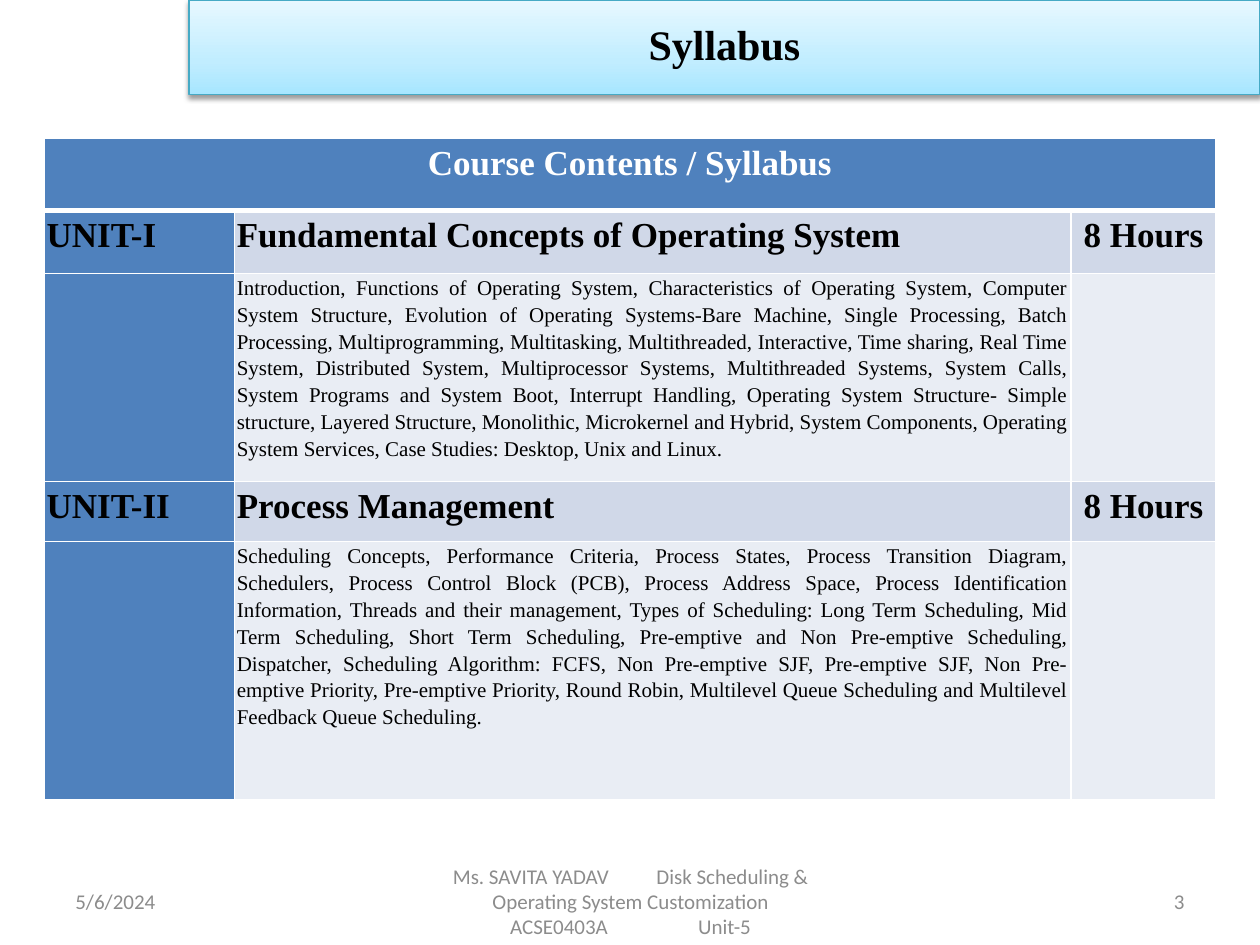
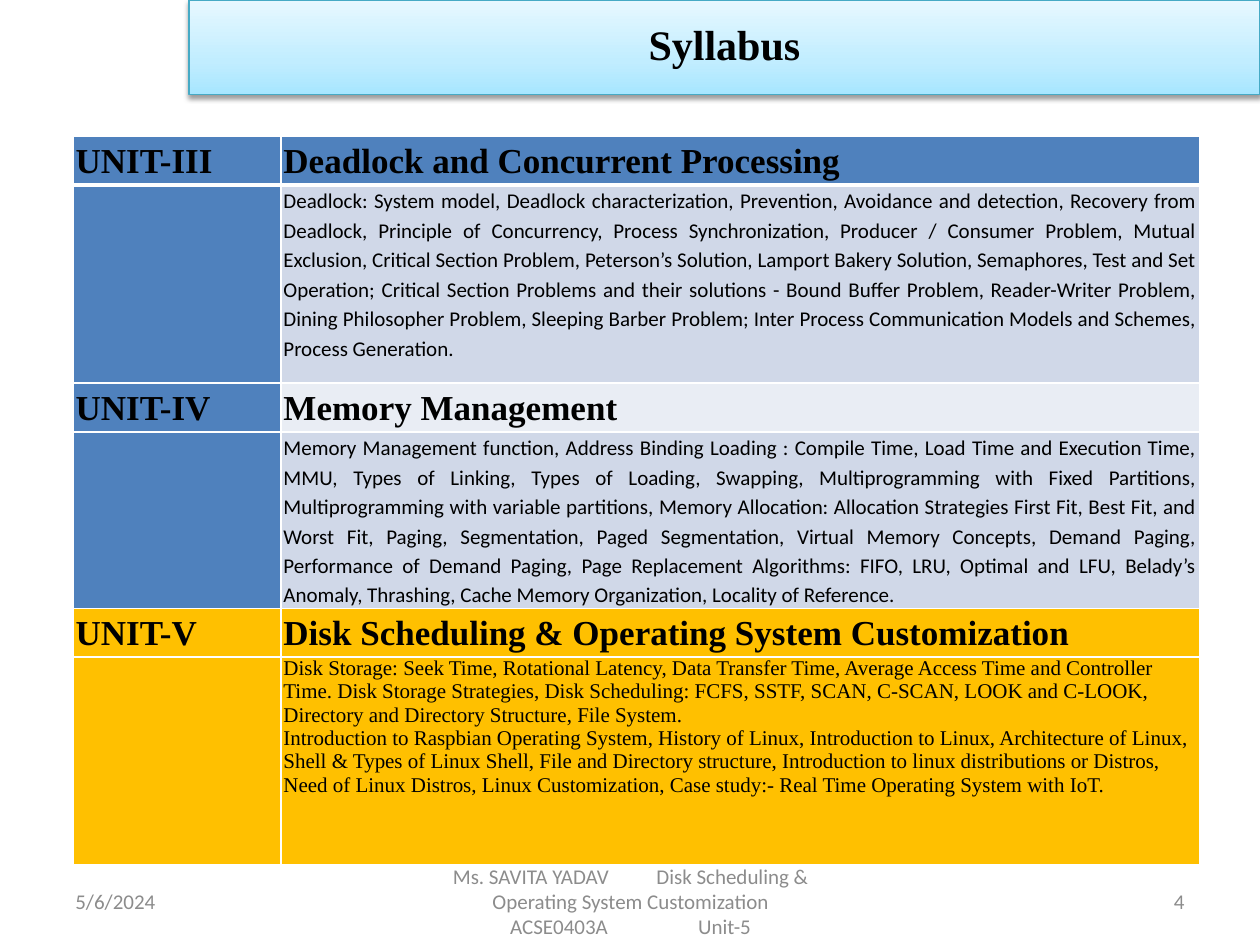
from dataclasses import dataclass

from lxml.etree import SubElement
from pptx import Presentation
from pptx.dml.color import RGBColor
from pptx.enum.shapes import MSO_SHAPE
from pptx.enum.text import MSO_ANCHOR, PP_ALIGN as Align
from pptx.oxml.ns import qn
from pptx.util import Inches, Pt

# Shared look
SERIF, SANS = "Times New Roman", "Calibri"
BLACK, WHITE, GREY = "000000", "FFFFFF", "8C8C8C"
BLUE, PALE_BLUE, LIGHT_BLUE, GOLD = "4F81BD", "D0D8E8", "E9EDF4", "FFC000"
BANNER_LINE = "46AAC5"
BANNER_STOPS = [(0, "A7E6FF"), (35, "C1EDFF"), (100, "E7F8FF")]
DATE = "5/6/2024"
# Each footer part is followed by a gap in points
FOOTER_PARTS = [
    ("Ms. SAVITA YADAV", 27),
    ("Disk Scheduling & Operating System Customization ACSE0403A", 51.5),
    ("Unit-5", 0),
]
SPACE_WIDTH = 2.7


@dataclass(frozen=True)
class TextStyle:
    size: float
    font: str = SERIF
    color: str = BLACK
    bold: bool = False
    align: Align = Align.LEFT
    line_spacing: float = 1.0


@dataclass(frozen=True)
class Cell:
    text: str
    style: TextStyle


@dataclass(frozen=True)
class Row:
    height: float
    fill: str
    cells: tuple[Cell, ...]
    first_fill: str = BLUE


@dataclass(frozen=True)
class Syllabus:
    number: int
    left: float
    top: float
    column_widths: tuple[float, ...]
    rows: tuple[Row, ...]


TITLE = TextStyle(24, bold=True, align=Align.CENTER, line_spacing=0.9)
TABLE_HEADING = TextStyle(20, color=WHITE, bold=True, align=Align.CENTER, line_spacing=1.15)
UNIT = TextStyle(20, bold=True, line_spacing=1.15)
TOPIC = TextStyle(20, bold=True, align=Align.JUSTIFY, line_spacing=1.15)
HOURS = TextStyle(20, bold=True, align=Align.CENTER, line_spacing=1.15)
SERIF_BODY = TextStyle(12, align=Align.JUSTIFY, line_spacing=1.15)
SANS_BODY = TextStyle(12, SANS, align=Align.JUSTIFY, line_spacing=1.15)
PLAIN_BODY = TextStyle(12)
FOOTER_LEFT = TextStyle(12, SANS, GREY)
FOOTER_CENTER = TextStyle(12, SANS, GREY, align=Align.CENTER)
FOOTER_RIGHT = TextStyle(12, SANS, GREY, align=Align.RIGHT)


def unit_row(height: float, fill: str, unit: str, topic: str,
             hours: str = "", first_fill: str = BLUE) -> Row:
    cells = (Cell(unit, UNIT), Cell(topic, TOPIC), Cell(hours, HOURS))
    return Row(height, fill, cells if hours else cells[:2], first_fill)


def body_row(height: float, fill: str, text: str, style: TextStyle,
             first_fill: str = BLUE) -> Row:
    return Row(height, fill, (Cell("", style), Cell(text, style)), first_fill)


# Slide contents
SLIDES = [
    Syllabus(3, 0.35, 1.1, (1.51, 6.64, 1.15), (
        Row(0.57, BLUE, (Cell("Course Contents / Syllabus", TABLE_HEADING),)),
        unit_row(0.5, PALE_BLUE, "UNIT-I", "Fundamental Concepts of Operating System", "8 Hours"),
        body_row(1.65, LIGHT_BLUE, (
            "Introduction, Functions of Operating System, Characteristics of Operating System, "
            "Computer System Structure, Evolution of Operating Systems-Bare Machine, Single "
            "Processing, Batch Processing, Multiprogramming, Multitasking, Multithreaded, "
            "Interactive, Time sharing, Real Time System, Distributed System, Multiprocessor "
            "Systems, Multithreaded Systems, System Calls, System Programs and System Boot, "
            "Interrupt Handling, Operating System Structure- Simple structure, Layered Structure, "
            "Monolithic, Microkernel and Hybrid, System Components, Operating System Services, "
            "Case Studies: Desktop, Unix and Linux."), SERIF_BODY),
        unit_row(0.48, PALE_BLUE, "UNIT-II", "Process Management", "8 Hours"),
        body_row(2.05, LIGHT_BLUE, (
            "Scheduling Concepts, Performance Criteria, Process States, Process Transition "
            "Diagram, Schedulers, Process Control Block (PCB), Process Address Space, Process "
            "Identification Information, Threads and their management, Types of Scheduling: Long "
            "Term Scheduling, Mid Term Scheduling, Short Term Scheduling, Pre-emptive and Non "
            "Pre-emptive Scheduling, Dispatcher, Scheduling Algorithm: FCFS, Non Pre-emptive SJF, "
            "Pre-emptive SJF, Non Pre-emptive Priority, Pre-emptive Priority, Round Robin, "
            "Multilevel Queue Scheduling and Multilevel Feedback Queue Scheduling."), SERIF_BODY),
    )),
    Syllabus(4, 0.58, 1.08, (1.65, 7.29), (
        unit_row(0.39, BLUE, "UNIT-III", "Deadlock and Concurrent Processing"),
        body_row(1.57, PALE_BLUE, (
            "Deadlock: System model, Deadlock characterization, Prevention, Avoidance and "
            "detection, Recovery from Deadlock, Principle of Concurrency, Process "
            "Synchronization, Producer / Consumer Problem, Mutual Exclusion, Critical Section "
            "Problem, Peterson’s Solution, Lamport Bakery Solution, Semaphores, Test and Set "
            "Operation; Critical Section Problems and their solutions - Bound Buffer Problem, "
            "Reader-Writer Problem, Dining Philosopher Problem, Sleeping Barber Problem; Inter "
            "Process Communication Models and Schemes, Process Generation."), SANS_BODY),
        unit_row(0.39, LIGHT_BLUE, "UNIT-IV", "Memory Management"),
        body_row(1.4, PALE_BLUE, (
            "Memory Management function, Address Binding Loading : Compile Time, Load Time and "
            "Execution Time, MMU, Types of Linking, Types of Loading, Swapping, Multiprogramming "
            "with Fixed Partitions, Multiprogramming with variable partitions, Memory Allocation: "
            "Allocation Strategies First Fit, Best Fit, and Worst Fit, Paging, Segmentation, Paged "
            "Segmentation, Virtual Memory Concepts, Demand Paging, Performance of Demand Paging, "
            "Page Replacement Algorithms: FIFO, LRU, Optimal and LFU, Belady’s Anomaly, "
            "Thrashing, Cache Memory Organization, Locality of Reference."), SANS_BODY),
        unit_row(0.34, GOLD, "UNIT-V", "Disk Scheduling & Operating System Customization",
                 first_fill=GOLD),
        body_row(1.65, GOLD, (
            "Disk Storage: Seek Time, Rotational Latency, Data Transfer Time, Average Access Time "
            "and Controller Time. Disk Storage Strategies, Disk Scheduling: FCFS, SSTF, SCAN, "
            "C-SCAN, LOOK and C-LOOK, Directory and Directory Structure, File System.\n"
            "Introduction to Raspbian Operating System, History of Linux, Introduction to Linux, "
            "Architecture of Linux, Shell & Types of Linux Shell, File and Directory structure, "
            "Introduction to linux distributions or Distros, Need of Linux Distros, Linux "
            "Customization, Case study:- Real Time Operating System with IoT."),
            PLAIN_BODY, first_fill=GOLD),
    )),
]


def rgb(color: str) -> RGBColor:
    return RGBColor.from_string(color)


def format_text(text_frame, style: TextStyle) -> None:
    for paragraph in text_frame.paragraphs:
        paragraph.alignment = style.align
        paragraph.line_spacing = style.line_spacing
        for run in paragraph.runs:
            run.font.size = Pt(style.size)
            run.font.name = style.font
            run.font.bold = style.bold
            run.font.color.rgb = rgb(style.color)


def add_color(parent, color: str):
    return SubElement(parent, qn("a:srgbClr"), val=color)


def add_banner(slide) -> None:
    banner = slide.shapes.add_shape(MSO_SHAPE.RECTANGLE, Inches(1.5), 0, Inches(8.5), Inches(0.75))
    banner.line.color.rgb = rgb(BANNER_LINE)
    banner.line.width = Pt(0.75)
    banner.fill.gradient()
    banner.fill.gradient_angle = 90
    properties = banner._element.spPr
    stops = properties.find(".//" + qn("a:gsLst"))
    stops.clear()
    for position, color in BANNER_STOPS:
        add_color(SubElement(stops, qn("a:gs"), pos=str(position * 1000)), color)
    # Soft shadow below the banner
    banner.shadow.inherit = False
    shadow = SubElement(properties.find(qn("a:effectLst")), qn("a:outerShdw"),
                        blurRad=str(Pt(3.1)), dist=str(Pt(1.6)), dir="5400000", rotWithShape="0")
    SubElement(add_color(shadow, BLACK), qn("a:alpha"), val="38000")
    text_frame = banner.text_frame
    text_frame.text = "Syllabus"
    text_frame.vertical_anchor = MSO_ANCHOR.MIDDLE
    text_frame.paragraphs[0].space_after = Pt(4.5)
    format_text(text_frame, TITLE)


def set_borders(cell, top: float, bottom: float) -> None:
    properties = cell._tc.get_or_add_tcPr()
    for tag, width in (("lnL", 1), ("lnR", 1), ("lnT", top), ("lnB", bottom)):
        line = SubElement(properties, qn(f"a:{tag}"), w=str(Pt(width)))
        add_color(SubElement(line, qn("a:solidFill")), WHITE)


def add_syllabus_table(slide, syllabus: Syllabus) -> None:
    widths, rows = syllabus.column_widths, syllabus.rows
    table = slide.shapes.add_table(
        len(rows), len(widths), Inches(syllabus.left), Inches(syllabus.top),
        Inches(sum(widths)), Inches(sum(row.height for row in rows))).table
    table.first_row = table.horz_banding = False
    for column, width in zip(table.columns, widths):
        column.width = Inches(width)
    for row_index, row in enumerate(rows):
        table.rows[row_index].height = Inches(row.height)
        for column_index in range(len(widths)):
            cell = table.cell(row_index, column_index)
            set_borders(cell, 3 if row_index == 1 else 1, 3 if row_index == 0 else 1)
            cell.fill.solid()
            cell.fill.fore_color.rgb = rgb(row.fill if column_index else row.first_fill)
            cell.margin_left = cell.margin_right = Inches(0.02)
            cell.margin_top = cell.margin_bottom = 0
        for column_index, content in enumerate(row.cells):
            text_frame = table.cell(row_index, column_index).text_frame
            text_frame.text = content.text
            format_text(text_frame, content.style)
        if len(row.cells) == 1:
            table.cell(row_index, 0).merge(table.cell(row_index, len(widths) - 1))


def add_footer_box(slide, left: float, width: float, text: str, style: TextStyle):
    box = slide.shapes.add_textbox(Inches(left), Inches(6.95), Inches(width), Inches(0.4))
    text_frame = box.text_frame
    text_frame.word_wrap = True
    text_frame.vertical_anchor = MSO_ANCHOR.MIDDLE
    text_frame.text = text
    format_text(text_frame, style)
    return text_frame


def add_footer(slide, number: int) -> None:
    add_footer_box(slide, 0.5, 2.33, DATE, FOOTER_LEFT)
    course = add_footer_box(slide, 3.42, 3.17, "", FOOTER_CENTER)
    paragraph = course.paragraphs[0]
    for text, gap in FOOTER_PARTS:
        paragraph.add_run().text = text
        if gap:
            # One space widened to the gap by character spacing
            space = paragraph.add_run()
            space.text = " "
            space._r.get_or_add_rPr().set("spc", str(round((gap - SPACE_WIDTH) * 100)))
    format_text(course, FOOTER_CENTER)
    add_footer_box(slide, 7.17, 2.33, str(number), FOOTER_RIGHT)


def main() -> None:
    presentation = Presentation()
    presentation.slide_width = Inches(10)
    presentation.slide_height = Inches(7.5)
    for syllabus in SLIDES:
        slide = presentation.slides.add_slide(presentation.slide_layouts[6])
        add_syllabus_table(slide, syllabus)
        add_footer(slide, syllabus.number)
        add_banner(slide)
    presentation.save("out.pptx")


if __name__ == "__main__":
    main()
